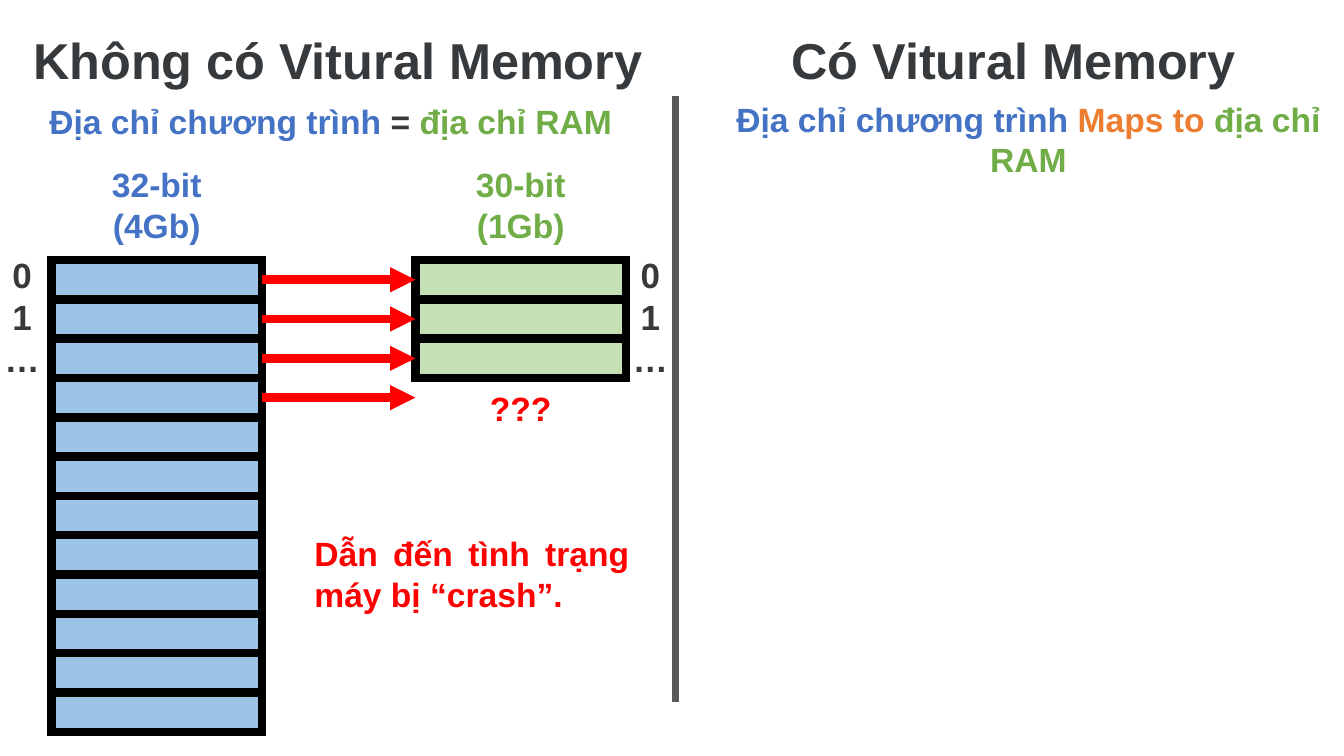
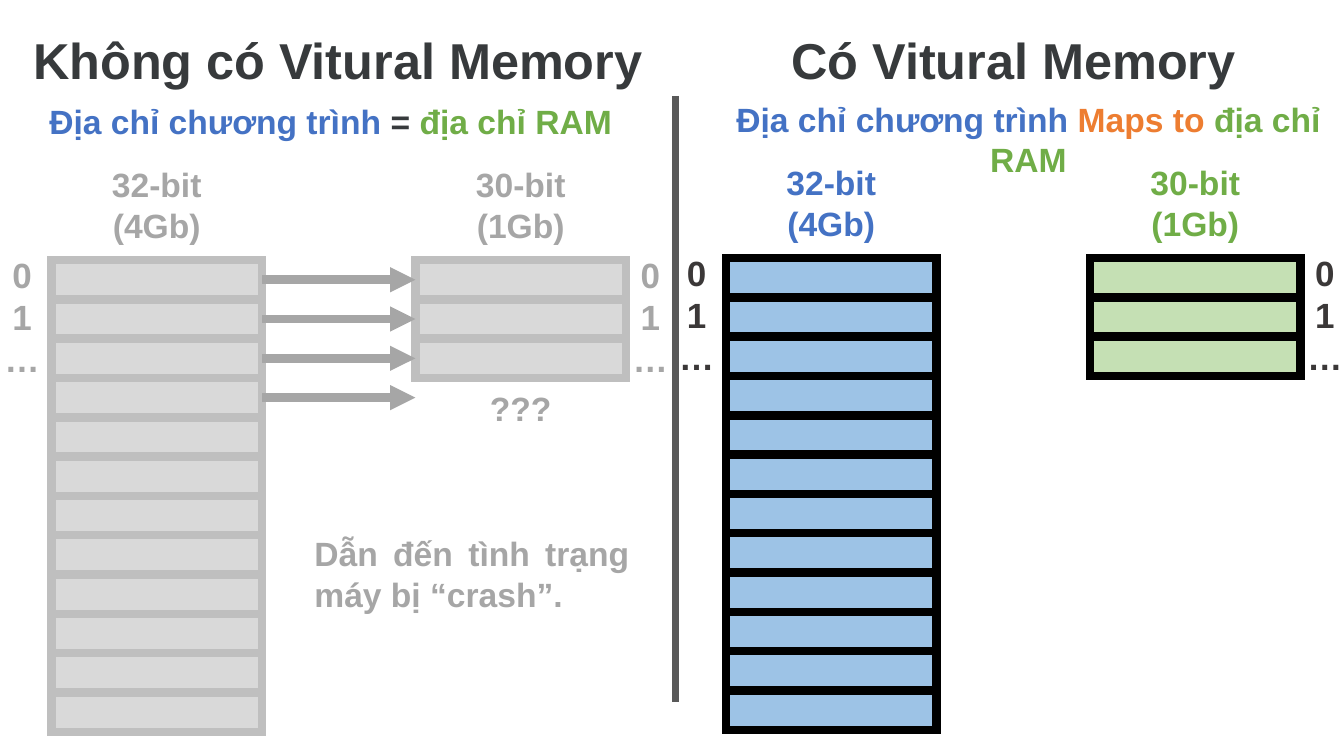
from dataclasses import dataclass, field

from lxml.etree import SubElement
from pptx import Presentation
from pptx.dml.color import RGBColor
from pptx.enum.shapes import MSO_CONNECTOR, MSO_SHAPE
from pptx.enum.text import MSO_AUTO_SIZE as AutoSize, PP_ALIGN as Align
from pptx.oxml.ns import qn
from pptx.util import Inches, Pt


@dataclass(frozen=True)
class Palette:
    """Colours of one memory diagram."""
    program: str
    ram: str
    index: str
    alert: str
    program_cell: str
    ram_cell: str
    border: str


@dataclass(frozen=True)
class Theme:
    font: str = "Arial"
    title_size: int = 36
    index_size: int = 25
    body_size: int = 24
    cell_line: float = 6
    divider_line: float = 4.5
    title: str = "373A3C"
    divider: str = "595959"
    program: str = "4472C4"
    ram: str = "70AD47"
    maps: str = "ED7D31"
    active: Palette = field(default_factory=lambda: Palette(
        "4472C4", "70AD47", "3B3838", "FF0000", "9DC3E6", "C5E0B4", "000000"))
    muted: Palette = field(default_factory=lambda: Palette(
        "A6A6A6", "A6A6A6", "A6A6A6", "A6A6A6", "D9D9D9", "D9D9D9", "BFBFBF"))


THEME = Theme()
SLIDE_W, SLIDE_H = 13.33, 7.5

# Diagram grid in inches
ROW = 0.39
STACK_W = 2.09
PROGRAM_X, RAM_X = 0.51, 4.12
STACK_TOP = 2.58
PROGRAM_ROWS, RAM_ROWS = 12, 3
LABEL_W = 1.26
HALF_W = 6.28
RIGHT_SHIFT, RIGHT_LIFT = 6.69, 0.02


def rgb(code):
    return RGBColor.from_string(code)


def add_text(slide, box, paragraphs, size, align=Align.CENTER):
    """Each paragraph is a list of (text, colour) runs."""
    frame = slide.shapes.add_textbox(*map(Inches, box)).text_frame
    frame.word_wrap = True
    frame.auto_size = AutoSize.SHAPE_TO_FIT_TEXT
    for number, runs in enumerate(paragraphs):
        paragraph = frame.add_paragraph() if number else frame.paragraphs[0]
        paragraph.alignment = align
        for words, colour in runs:
            run = paragraph.add_run()
            run.text = words
            run.font.name = THEME.font
            run.font.size = Pt(size)
            run.font.bold = True
            run.font.color.rgb = rgb(colour)


def add_label(slide, center, top, height, lines, colour, size=THEME.body_size):
    box = (center - LABEL_W / 2, top, LABEL_W, height)
    add_text(slide, box, [[(line, colour)] for line in lines], size)


def add_line(slide, start, end, colour, width, arrow=False):
    line = slide.shapes.add_connector(
        MSO_CONNECTOR.STRAIGHT, *map(Inches, (*start, *end)))
    line.line.color.rgb = rgb(colour)
    line.line.width = Pt(width)
    if arrow:
        SubElement(line.line._get_or_add_ln(), qn("a:tailEnd"), type="triangle")
    SubElement(line._element.spPr, qn("a:effectLst"))


def add_stack(slide, left, top, rows, fill, border):
    """Stack memory cells, the lowest one at the back."""
    for row in reversed(range(rows)):
        cell = slide.shapes.add_shape(
            MSO_SHAPE.RECTANGLE,
            *map(Inches, (left, top + row * ROW, STACK_W, ROW)))
        cell.shadow.inherit = False
        cell.fill.solid()
        cell.fill.fore_color.rgb = rgb(fill)
        cell.line.color.rgb = rgb(border)
        cell.line.width = Pt(THEME.cell_line)
        SubElement(cell.line._get_or_add_ln(), qn("a:miter"), lim="800000")


def add_memory(slide, palette, shift=0, lift=0):
    """Draw the program's address space beside the RAM."""
    top = STACK_TOP - lift
    program_x, ram_x = PROGRAM_X + shift, RAM_X + shift
    stacks = (
        (program_x, PROGRAM_ROWS, palette.program_cell, palette.program,
         ("32-bit", "(4Gb)"), program_x - 0.29),
        (ram_x, RAM_ROWS, palette.ram_cell, palette.ram,
         ("30-bit", "(1Gb)"), ram_x + STACK_W + 0.24),
    )
    for left, rows, fill, colour, heading, index_center in stacks:
        add_stack(slide, left, top, rows, fill, palette.border)
        add_label(slide, left + STACK_W / 2, top - 1, 0.91, heading, colour)
        add_label(slide, index_center, top - 0.11, 1.36, ("0", "1", "…"),
                  palette.index, THEME.index_size)


def add_crash(slide, palette):
    """Show direct addressing running past the end of the RAM."""
    for row in range(RAM_ROWS + 1):
        y = STACK_TOP + (row + 0.5) * ROW
        add_line(slide, (PROGRAM_X + STACK_W, y), (RAM_X, y),
                 palette.alert, THEME.cell_line, arrow=True)
    add_label(slide, RAM_X + STACK_W / 2, 3.8, 0.5, ("???",), palette.alert)
    add_text(slide, (3.02, 5.24, 3.32, 0.91),
             [[("Dẫn đến tình trạng máy bị “crash”.", palette.alert)]],
             THEME.body_size, Align.JUSTIFY)


def add_comparison(slide):
    """Draw the titles, subtitles and divider shared by the slides."""
    for left, title in ((0.23, "Không có Vitural Memory"),
                        (7.75, "Có Vitural Memory")):
        add_text(slide, (left, 0.24, HALF_W, 0.71), [[(title, THEME.title)]],
                 THEME.title_size, Align.JUSTIFY)
    add_line(slide, (6.7, 0.95), (6.7, 6.96), THEME.divider, THEME.divider_line)
    subtitles = (
        ((0.39, 0.95, HALF_W, 0.5), "= ", THEME.title, Align.JUSTIFY),
        ((7.06, 0.93, HALF_W, 0.91), "Maps to ", THEME.maps, Align.CENTER),
    )
    for box, relation, colour, align in subtitles:
        runs = [("Địa chỉ chương trình ", THEME.program), (relation, colour),
                ("địa chỉ RAM", THEME.ram)]
        add_text(slide, box, [runs], THEME.body_size, align)


def add_comparison_slide(deck, left_palette, right_palette=None):
    slide = deck.slides.add_slide(deck.slide_layouts[6])
    add_comparison(slide)
    add_memory(slide, left_palette)
    add_crash(slide, left_palette)
    if right_palette:
        add_memory(slide, right_palette, RIGHT_SHIFT, RIGHT_LIFT)


def main():
    deck = Presentation()
    deck.slide_width, deck.slide_height = Inches(SLIDE_W), Inches(SLIDE_H)
    add_comparison_slide(deck, THEME.active)
    add_comparison_slide(deck, THEME.muted, THEME.active)
    deck.save("out.pptx")


if __name__ == "__main__":
    main()
